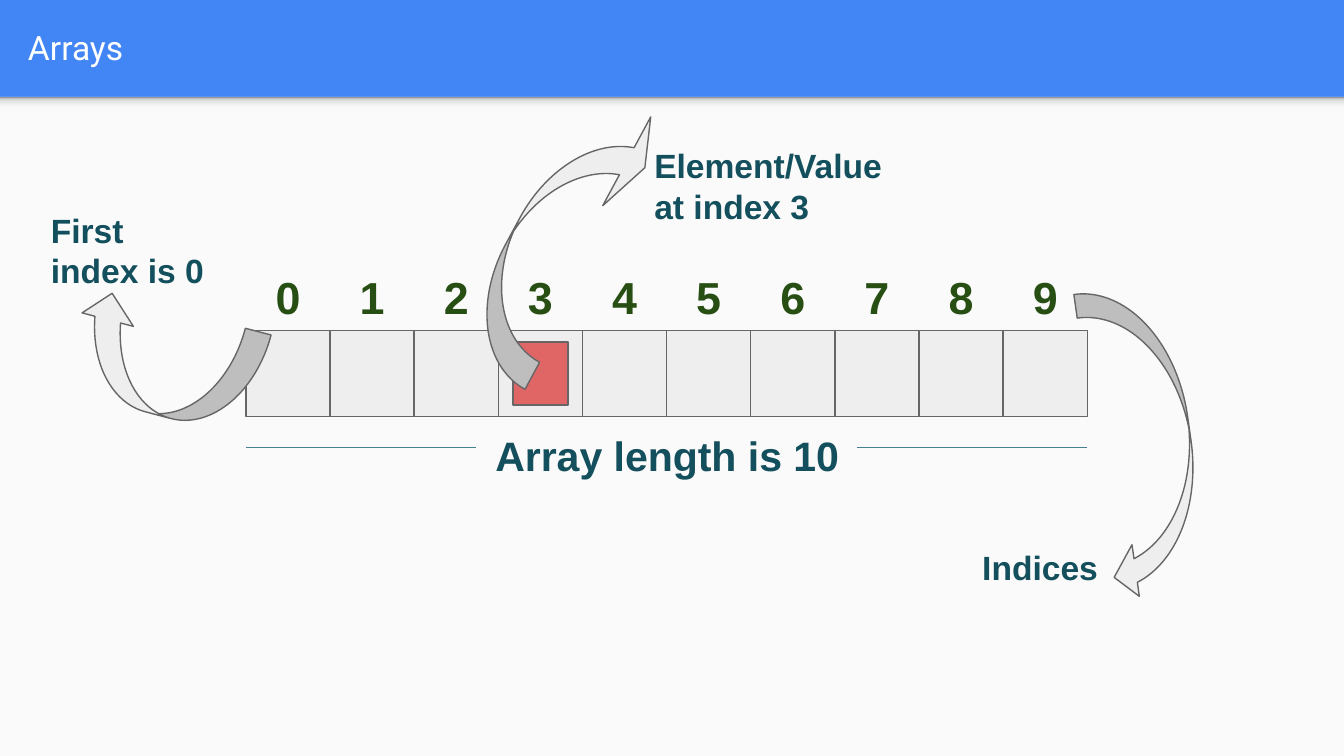
from lxml import etree
from pptx import Presentation
from pptx.dml.color import RGBColor
from pptx.enum.shapes import MSO_CONNECTOR, MSO_SHAPE
from pptx.enum.text import MSO_ANCHOR, PP_ALIGN
from pptx.oxml import parse_xml
from pptx.oxml.ns import qn
from pptx.util import Inches, Pt

RECT = MSO_SHAPE.RECTANGLE
CURVED_LEFT, CURVED_DOWN = MSO_SHAPE.CURVED_LEFT_ARROW, MSO_SHAPE.CURVED_DOWN_ARROW
LEFT, CENTER = PP_ALIGN.LEFT, PP_ALIGN.CENTER
TOP, MIDDLE = MSO_ANCHOR.TOP, MSO_ANCHOR.MIDDLE

WIDTH, HEIGHT, HEADER = 10, 5.625, 0.72
BLUE, PAPER, WHITE = "4285F4", "FAFAFA", "FFFFFF"
GREY, OUTLINE, RED = "EEEEEE", "666666", "E06666"
GREEN, TEAL, RULE = "274E13", "134F5C", "45818E"

TITLE = "Arrays"
LENGTH = "Array length is 10"
INDICES = range(10)
SHADE_STOPS = [(0, "F9F9F9"), (36, "F9F9F9"), (80, "DEDEDE"), (100, "999999")]

# Array grid: left, right, top, cell height
ARRAY_LEFT, ARRAY_RIGHT, ARRAY_TOP, CELL_HEIGHT = 1.83, 8.09, 2.46, 0.64
CELL_WIDTH = (ARRAY_RIGHT - ARRAY_LEFT) / len(INDICES)
MARKED, MARK_WIDTH, MARK_HEIGHT = 3, 0.41, 0.47
RULE_Y, RULE_LENGTH = 3.33, 1.71

# Each callout: arrow kind, arrow box, rotation, adjustments, lines, text box
CALLOUTS = [
    (CURVED_LEFT, (3.84, 0.63, 0.64, 2.25), 208.4, (0.357, 1.173, 0.221),
     ["Element/Value", "at index 3"], (4.77, 0.98, 3.53, 0.73)),
    (CURVED_DOWN, (0.52, 2.3, 1.42, 0.79), 194.7, (0.25, 0.5, 0.25),
     ["First index is 0"], (0.28, 1.46, 1.45, 1.09)),
    (CURVED_LEFT, (8.15, 2.13, 0.71, 2.32), 351.9, (0.25, 0.546, 0.234),
     ["Indices"], (7.21, 3.97, 1.45, 1.09)),
]


def rgb(color):
    """Turn a hex string into a colour."""
    return RGBColor.from_string(color)


def add_block(shapes, kind, box, fill, line=None):
    """Add a filled preset shape, outlined if a line colour is given."""
    block = shapes.add_shape(kind, *map(Inches, box))
    block.shadow.inherit = False
    block.fill.solid()
    block.fill.fore_color.rgb = rgb(fill)
    if line:
        block.line.color.rgb = rgb(line)
        block.line.width = Pt(0.75)
    else:
        block.line.fill.background()
    return block


def add_text(shapes, box, lines, size, color, align=LEFT, anchor=TOP,
             font="Arial", bold=True):
    """Add a text box with one paragraph for each line."""
    frame = shapes.add_textbox(*map(Inches, box)).text_frame
    frame.word_wrap = True
    frame.vertical_anchor = anchor
    frame.margin_left = frame.margin_right = Inches(0.1)
    frame.margin_top = frame.margin_bottom = Inches(0.1)
    frame.text = "\n".join(lines)
    for paragraph in frame.paragraphs:
        paragraph.alignment = align
        paragraph.font.name = font
        paragraph.font.size = Pt(size)
        paragraph.font.bold = bold
        paragraph.font.color.rgb = rgb(color)


def add_rule(shapes, start, end):
    """Add a thin horizontal line beside the array length."""
    rule = shapes.add_connector(MSO_CONNECTOR.STRAIGHT, Inches(start),
                                Inches(RULE_Y), Inches(end), Inches(RULE_Y))
    rule.line.color.rgb = rgb(RULE)
    rule.line.width = Pt(0.75)
    etree.SubElement(rule._element.spPr, qn("a:effectLst"))


def shade_upwards(block, stops):
    """Replace a solid fill by a gradient that runs from bottom to top."""
    marks = "".join(f'<a:gs pos="{share * 1000}"><a:srgbClr val="{color}"/></a:gs>'
                    for share, color in stops)
    gradient = parse_xml(
        '<a:gradFill xmlns:a="http://schemas.openxmlformats.org/drawingml/2006/main">'
        f'<a:gsLst>{marks}</a:gsLst><a:lin ang="16200000" scaled="0"/></a:gradFill>')
    properties = block._element.spPr
    properties.replace(properties.find(qn("a:solidFill")), gradient)


def add_header(slide):
    """Draw the blue header with its title, and the page below it."""
    slide.background.fill.solid()
    slide.background.fill.fore_color.rgb = rgb(BLUE)
    add_block(slide.shapes, RECT, (0, HEADER, WIDTH, HEIGHT - HEADER), PAPER)
    shade = add_block(slide.shapes, RECT, (0, HEADER, WIDTH, 0.12), PAPER)
    shade_upwards(shade, SHADE_STOPS)
    add_text(slide.shapes, (0.11, 0.02, 9.65, 0.66), [TITLE], 18, WHITE,
             anchor=MIDDLE, font="Roboto", bold=False)


def add_array(shapes):
    """Draw the cells, their indices, the length and the marked element."""
    cells = shapes.add_group_shape()
    for index in INDICES:
        left = ARRAY_LEFT + index * CELL_WIDTH
        add_block(cells.shapes, RECT, (left, ARRAY_TOP, CELL_WIDTH, CELL_HEIGHT),
                  GREY, OUTLINE)
        add_text(shapes, (left, 1.91, CELL_WIDTH, 0.47), [str(index)], 24, GREEN,
                 CENTER)
    add_rule(shapes, ARRAY_LEFT, ARRAY_LEFT + RULE_LENGTH)
    add_text(shapes, (3.2, 3.1, 3.53, 0.38), [LENGTH], 22, TEAL, CENTER)
    add_rule(shapes, ARRAY_RIGHT - RULE_LENGTH, ARRAY_RIGHT)
    mark_left = ARRAY_LEFT + MARKED * CELL_WIDTH + (CELL_WIDTH - MARK_WIDTH) / 2
    mark_top = ARRAY_TOP + (CELL_HEIGHT - MARK_HEIGHT) / 2
    add_block(shapes, RECT, (mark_left, mark_top, MARK_WIDTH, MARK_HEIGHT),
              RED, OUTLINE)


def add_callout(shapes, kind, arrow_box, rotation, adjustments, lines, text_box):
    """Draw a curved arrow and the words it leads to."""
    arrow = add_block(shapes, kind, arrow_box, GREY, OUTLINE)
    arrow.rotation = rotation
    for position, value in enumerate(adjustments):
        arrow.adjustments[position] = value
    add_text(shapes, text_box, lines, 18, TEAL)


def main():
    """Build the slide and save it."""
    deck = Presentation()
    deck.slide_width, deck.slide_height = Inches(WIDTH), Inches(HEIGHT)
    slide = deck.slides.add_slide(deck.slide_layouts[6])
    add_header(slide)
    add_array(slide.shapes)
    for callout in CALLOUTS:
        add_callout(slide.shapes, *callout)
    deck.save("out.pptx")


main()
